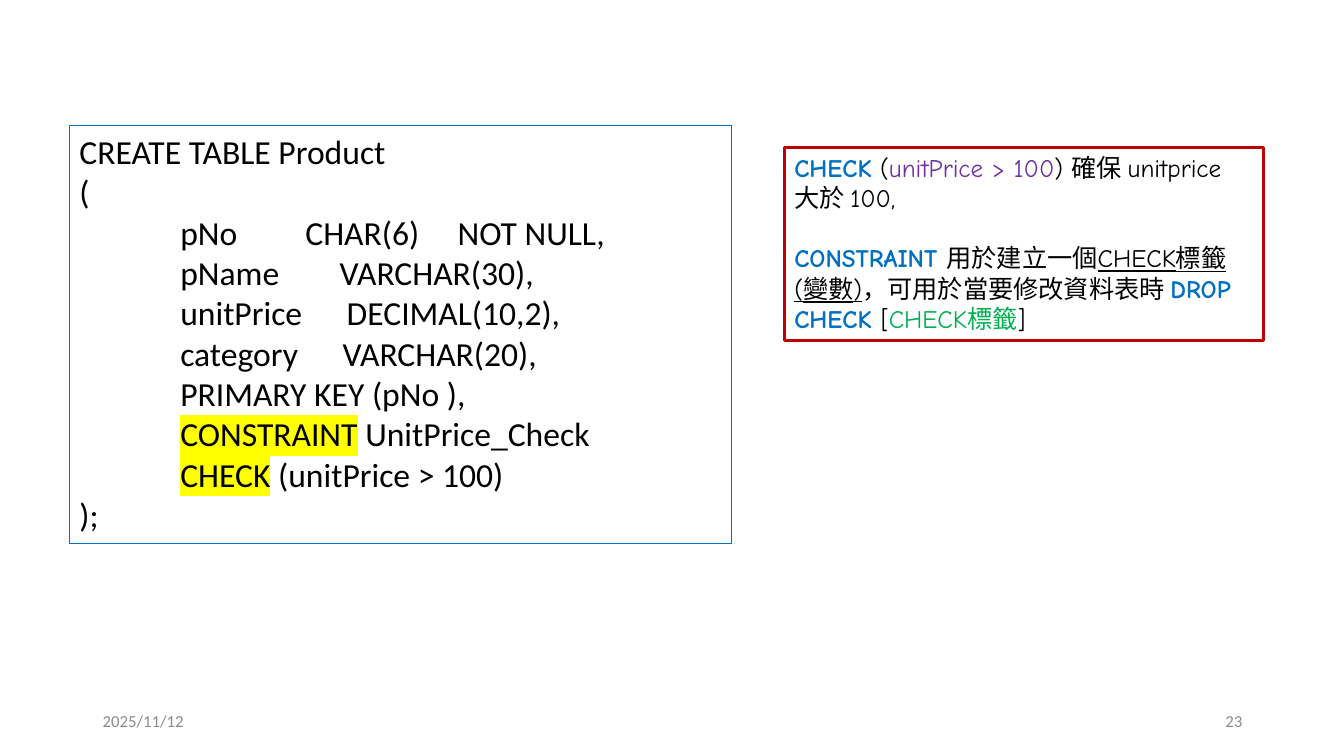
import pptx
import pptx.dml.color
import pptx.enum.text
import pptx.oxml
import pptx.oxml.ns
import pptx.util

Inches = pptx.util.Inches
Pt = pptx.util.Pt
ALIGN = pptx.enum.text.PP_ALIGN
ANCHOR = pptx.enum.text.MSO_ANCHOR

BLACK, BLUE, RED = "000000", "0070C0", "C00000"
PURPLE, GREEN, GRAY, YELLOW = "7030A0", "00B050", "8C8C8C", "FFFF00"
KEYWORD = {"color": BLUE, "bold": True}

# Each line: its runs, then its tab stops in inches
CODE_LINES = [
    ([("CREATE TABLE Product", {})], []),
    ([("(", {})], []),
    ([("\tpNo\tCHAR(6)\tNOT NULL,", {})], [1, 2.24, 3.75]),
    ([("\tpName\tVARCHAR(30),", {})], [1, 2.58]),
    ([("\tunitPrice\tDECIMAL(10,2),", {})], [1, 2.65]),
    ([("\tcategory\tVARCHAR(20),", {})], [1, 2.61]),
    ([("\tPRIMARY KEY (pNo ),", {})], [1]),
    ([("\t", {}), ("CONSTRAINT", {"highlight": YELLOW}), (" UnitPrice_Check", {})], [1]),
    ([("\t", {}), ("CHECK", {"highlight": YELLOW}), (" (unitPrice > 100)", {})], [1]),
    ([(");", {})], []),
]

CHECK_NOTE = [
    [("CHECK", KEYWORD), (" (", {}), ("unitPrice > 100", {"color": PURPLE}),
     (") 確保 unitprice 大於 100,", {})],
    [("CONSTRAINT ", KEYWORD), ("用於建立一個", {}),
     ("CHECK標籤(變數)", {"underline": True}), ("，可用於當要修改資料表時 ", {}),
     ("DROP CHECK ", KEYWORD), ("[", {}), ("CHECK標籤", {"color": GREEN}), ("]", {})],
]


def rgb(hex_color):
    return pptx.dml.color.RGBColor.from_string(hex_color)


def add_box(slide, box, border=None, border_width=0.75):
    """Add a wrapping text box, with a border if a colour is given."""
    textbox = slide.shapes.add_textbox(*(Inches(length) for length in box))
    textbox.text_frame.word_wrap = True
    if border:
        textbox.line.color.rgb = rgb(border)
        textbox.line.width = Pt(border_width)
        textbox.text_frame.auto_size = pptx.enum.text.MSO_AUTO_SIZE.SHAPE_TO_FIT_TEXT
    return textbox.text_frame


def add_run(paragraph, text, size, font, color=BLACK, bold=False,
            underline=False, highlight=None):
    run = paragraph.add_run()
    run.text = text
    run.font.size = Pt(size)
    run.font.name = font
    run.font.bold = bold
    run.font.underline = underline
    run.font.color.rgb = rgb(color)
    if highlight:
        marker = pptx.oxml.parse_xml(
            f'<a:highlight {pptx.oxml.ns.nsdecls("a")}>'
            f'<a:srgbClr val="{highlight}"/></a:highlight>')
        run.font.fill._xPr.find(pptx.oxml.ns.qn("a:solidFill")).addnext(marker)


def set_tab_stops(paragraph, stops):
    tabs = "".join(f'<a:tab pos="{Inches(stop)}" algn="l"/>' for stop in stops)
    paragraph._p.get_or_add_pPr().append(pptx.oxml.parse_xml(
        f'<a:tabLst {pptx.oxml.ns.nsdecls("a")}>{tabs}</a:tabLst>'))


def next_paragraph(frame, index):
    return frame.add_paragraph() if index else frame.paragraphs[0]


def add_code(slide, box):
    frame = add_box(slide, box, BLUE)
    for index, (runs, stops) in enumerate(CODE_LINES):
        line = next_paragraph(frame, index)
        if stops:
            set_tab_stops(line, stops)
        for text, style in runs:
            add_run(line, text, 24, "Calibri", **style)


def add_note(slide, box):
    frame = add_box(slide, box, RED, 2.25)
    for index, runs in enumerate(CHECK_NOTE):
        remark = next_paragraph(frame, index)
        if index:
            remark.space_before = Pt(21.5)
        for text, style in runs:
            add_run(remark, text, 18, "Comic Neue", **style)


def add_footer(slide, box):
    left, top, width, height = box
    cell_width = 3
    for text, cell_left, align in [
        ("2025/11/12", left, ALIGN.LEFT),
        ("23", left + width - cell_width, ALIGN.RIGHT),
    ]:
        frame = add_box(slide, (cell_left, top, cell_width, height))
        frame.vertical_anchor = ANCHOR.MIDDLE
        frame.paragraphs[0].alignment = align
        add_run(frame.paragraphs[0], text, 12, "Calibri", GRAY)


def main():
    presentation = pptx.Presentation()
    presentation.slide_width = Inches(13.33)
    presentation.slide_height = Inches(7.5)
    slide = presentation.slides.add_slide(presentation.slide_layouts[6])

    # Table definition, its explanation, then date and page number
    add_code(slide, (0.69, 1.25, 6.57, 4.14))
    add_note(slide, (7.78, 1.46, 4.75, 1.92))
    add_footer(slide, (0.92, 6.95, 11.5, 0.4))

    presentation.save("out.pptx")


if __name__ == "__main__":
    main()
